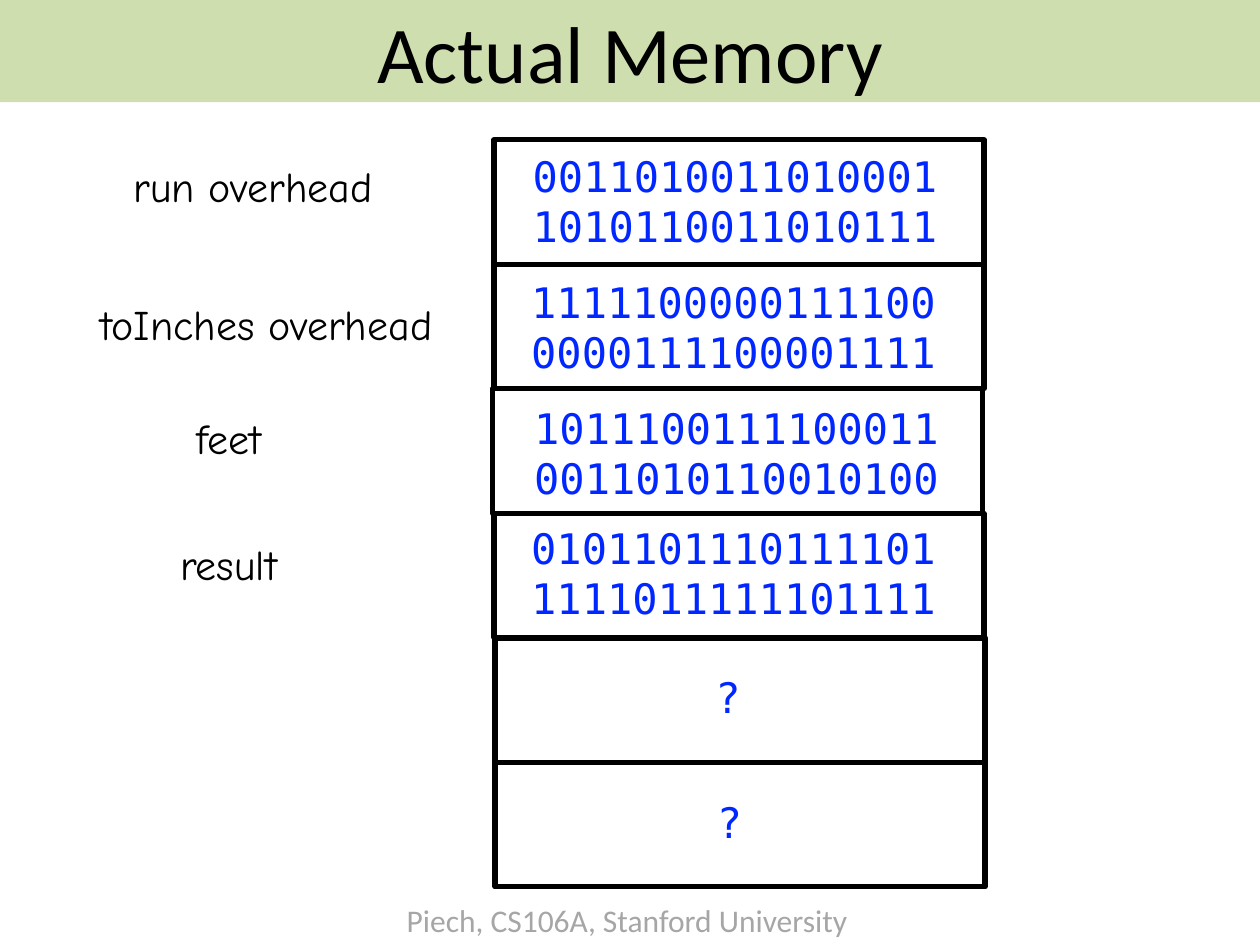
from lxml import etree
from pptx import Presentation
from pptx.dml.color import RGBColor
from pptx.enum.shapes import MSO_SHAPE as SHAPE
from pptx.enum.text import MSO_ANCHOR as ANCHOR, MSO_AUTO_SIZE as AUTO, PP_ALIGN as ALIGN
from pptx.oxml.ns import qn
from pptx.util import Cm, Pt

BLACK = RGBColor(0x00, 0x00, 0x00)
GRAY = RGBColor(0xA6, 0xA6, 0xA6)
BLUE = RGBColor(0x00, 0x27, 0xFF)
GREEN = RGBColor(0xC3, 0xD6, 0x9B)

CELL_TOP, CELL_WIDTH, CELL_HEIGHT = 2.82, 9.88, 2.51
CELL_LEFTS = [9.96, 9.96, 9.93, 9.96, 9.98, 9.98]

LABELS = [
    ("run overhead", 2.44, 3.12, 5.66),
    ("toInches overhead", 1.78, 5.89, 7.7),
    ("feet", 3.71, 8.2, 2.11),
    ("result", 3.38, 10.74, 2.74),
]
VALUES = [
    ("0011010011010001\n1010110011010111", 10.49, 2.9, 8.71, 2.31),
    ("1111100000111100\n0000111100001111", 10.46, 5.44, 8.71, 2.31),
    ("1011100111100011\n0011010110010100", 10.52, 7.98, 8.71, 2.31),
    ("0101101110111101\n1111011111101111", 10.46, 10.41, 8.71, 2.31),
    ("?", 14.17, 13.41, 1.02, 1.27),
    ("?", 14.2, 15.93, 1.02, 1.27),
]


class MemorySlide:
    title_font = "Calibri"
    label_font = "Comic Neue"
    value_font = "DejaVu Sans Mono"

    def __init__(self, prs):
        self.s = prs.slides.add_slide(prs.slide_layouts[6])

    def set_text(self, tf, text, font, size, color, align=ALIGN.LEFT):
        tf.text = text
        for p in tf.paragraphs:
            p.alignment = align
            for r in p.runs:
                r.font.name = font
                r.font.size = Pt(size)
                r.font.color.rgb = color

    def rect(self, x, y, w, h):
        sp = self.s.shapes.add_shape(SHAPE.RECTANGLE, Cm(x), Cm(y), Cm(w), Cm(h))
        sp.shadow.inherit = False
        return sp

    def title(self, text):
        sp = self.rect(0, 0, 25.4, 2.06)
        sp.fill.solid()
        sp.fill.fore_color.rgb = GREEN
        color = sp.element.spPr.find(qn("a:solidFill")).find(qn("a:srgbClr"))
        etree.SubElement(color, qn("a:alpha")).set("val", "80000")
        sp.line.fill.background()
        sp.text_frame.vertical_anchor = ANCHOR.MIDDLE
        self.set_text(sp.text_frame, text, self.title_font, 46, BLACK, ALIGN.CENTER)

    def cell(self, x, y):
        sp = self.rect(x, y, CELL_WIDTH, CELL_HEIGHT)
        sp.fill.background()
        sp.line.color.rgb = BLACK
        sp.line.width = Pt(3)

    def text(self, text, x, y, w, h, font, size, color):
        tf = self.s.shapes.add_textbox(Cm(x), Cm(y), Cm(w), Cm(h)).text_frame
        tf.word_wrap = False
        tf.auto_size = AUTO.SHAPE_TO_FIT_TEXT
        self.set_text(tf, text, font, size, color)

    def label(self, text, x, y, w):
        self.text(text, x, y, w, 1.27, self.label_font, 24, BLACK)

    def value(self, text, x, y, w, h):
        self.text(text, x, y, w, h, self.value_font, 24, BLUE)

    def footer(self, text):
        self.text(text, 7.95, 18.03, 9.5, 1.02, self.title_font, 18, GRAY)


def main():
    prs = Presentation()
    prs.slide_width, prs.slide_height = Cm(25.4), Cm(19.05)
    slide = MemorySlide(prs)
    slide.footer("Piech, CS106A, Stanford University")
    slide.title("Actual Memory")
    for i, x in enumerate(CELL_LEFTS):
        slide.cell(x, CELL_TOP + i * CELL_HEIGHT)
    for label in LABELS:
        slide.label(*label)
    for value in VALUES:
        slide.value(*value)
    prs.save("out.pptx")


if __name__ == "__main__":
    main()
